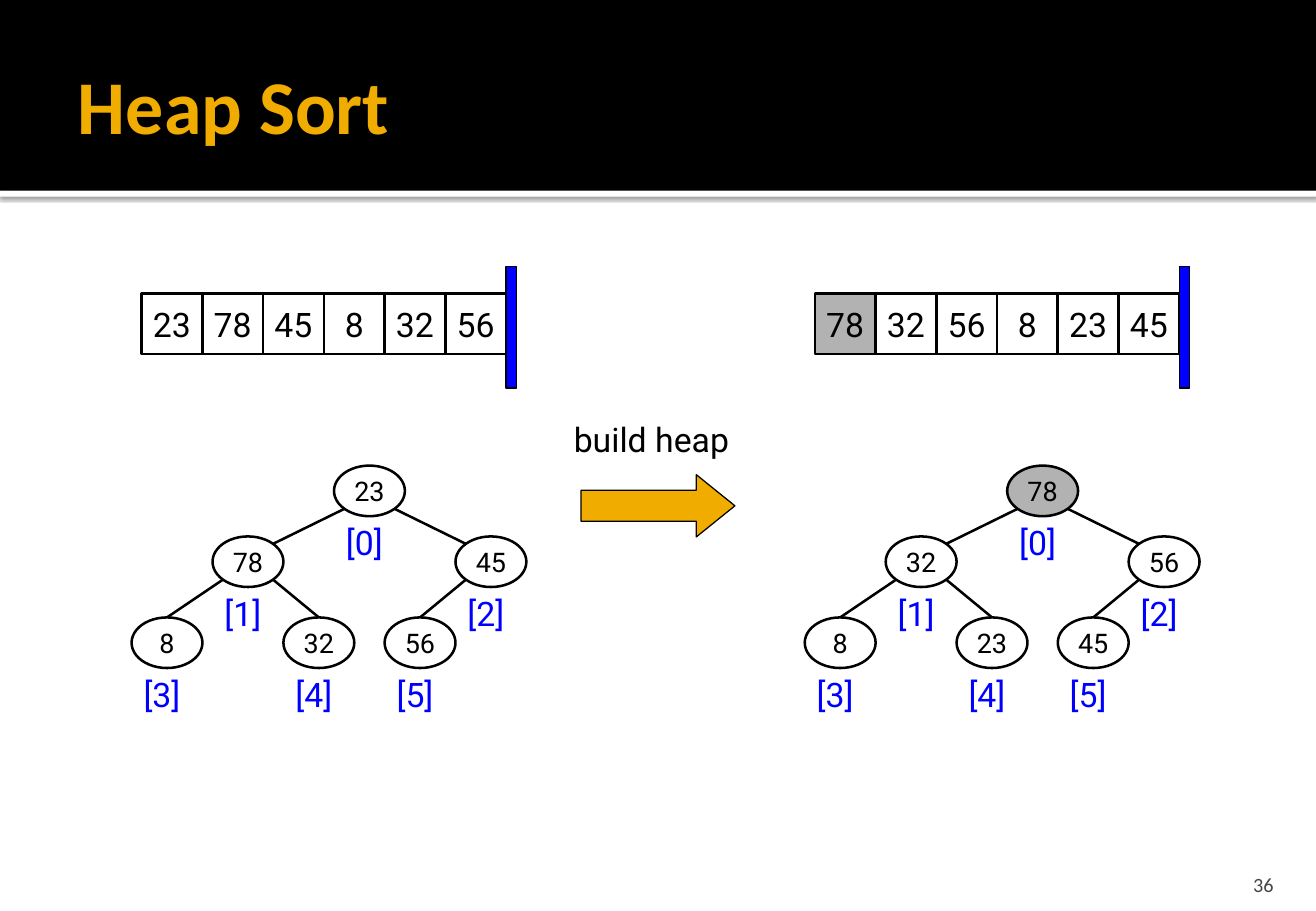
from math import sqrt

from lxml import etree
from pptx import Presentation
from pptx.dml.color import RGBColor
from pptx.enum.shapes import MSO_CONNECTOR, MSO_SHAPE as SHAPE
from pptx.enum.text import MSO_ANCHOR as ANCHOR, PP_ALIGN as ALIGN
from pptx.oxml import parse_xml
from pptx.oxml.ns import nsdecls, qn
from pptx.util import Inches, Pt

COLORS = {"black": "000000", "white": "FFFFFF", "gold": "F0AD00",
          "blue": "0000FF", "gray": "B2B2B2", "number": "454545"}

# The slide is a grid of 130 columns by 90 rows, twelve to the inch.
COLS, ROWS = 130, 90
CELL = 6
NODE_W, NODE_H = 7, 5
ARRAY_COL, ARRAY_ROW = 14, 29
NODE_SPOTS = [(33, 46), (21, 53), (45, 53), (13, 61), (28, 61), (38, 61)]
HEAP_SHIFT = 66.5
BEFORE = ["23", "78", "45", "8", "32", "56"]
AFTER = ["78", "32", "56", "8", "23", "45"]


def grid(*units):
    return [Inches(u / 12) for u in units]


def rgb(name):
    return RGBColor.from_string(COLORS[name])


def set_text(sp, text, size, color="black", font="Roboto", align=ALIGN.LEFT,
             anchor=ANCHOR.TOP, wrap=True, bold=False):
    tf = sp.text_frame
    tf.word_wrap = wrap
    tf.vertical_anchor = anchor
    tf.text = text
    p = tf.paragraphs[0]
    p.alignment = align
    p.font.size = Pt(size)
    p.font.name = font
    p.font.bold = bold
    p.font.color.rgb = rgb(color)
    return tf


def add_box(slide, kind, box, fill=None, line=None):
    """Add a preset shape; fill is a colour name, line a black width in points."""
    sp = slide.shapes.add_shape(kind, *grid(*box))
    sp.shadow.inherit = False
    if fill:
        sp.fill.solid()
        sp.fill.fore_color.rgb = rgb(fill)
    else:
        sp.fill.background()
    if line:
        sp.line.width = Pt(line)
        sp.line.color.rgb = rgb("black")
    else:
        sp.line.fill.background()
    return sp


def add_value(slide, kind, box, text, size, fill):
    sp = add_box(slide, kind, box, fill, 1.5)
    set_text(sp, text, size, align=ALIGN.CENTER, anchor=ANCHOR.MIDDLE, wrap=False)


def add_label(slide, box, text, color):
    set_text(slide.shapes.add_textbox(*grid(*box)), text, 20, color)


def add_edge(slide, start, end):
    line = slide.shapes.add_connector(MSO_CONNECTOR.STRAIGHT, *grid(*start, *end))
    line.line.width = Pt(1.5)
    line.line.color.rgb = rgb("black")
    etree.SubElement(line.element.spPr, qn("a:effectLst"))


def add_header(slide, text):
    strip = add_box(slide, SHAPE.RECTANGLE, (0, 18.84, COLS, 0.6), "white")
    strip.element.spPr.find(qn("a:effectLst")).append(parse_xml(
        f'<a:outerShdw {nsdecls("a")} blurRad="{Pt(2.5)}" dist="{Pt(0.8)}" '
        f'dir="5400000" algn="t" rotWithShape="0"><a:srgbClr val="{COLORS["black"]}">'
        '<a:alpha val="60000"/></a:srgbClr></a:outerShdw>'))
    add_box(slide, SHAPE.RECTANGLE, (0, 0, COLS, 18.84), "black")

    title = slide.shapes.title
    title.left, title.top, title.width, title.height = grid(6.5, 2, 117, 16.5)
    tf = set_text(title, text, 45, "gold", "Calibri", anchor=ANCHOR.MIDDLE, bold=True)
    tf.margin_right = Inches(0.05)
    slide.shapes.element.append(title.element)  # in front of the bars


def add_page_number(slide, text):
    sp = slide.shapes.add_textbox(*grid(116.6, 85, 10.4, 3.6))
    tf = set_text(sp, text, 12, "number", "Calibri", ALIGN.RIGHT, ANCHOR.BOTTOM)
    tf.margin_bottom = 0


def add_array(slide, values, shift, root_fill):
    left = ARRAY_COL + shift
    for i, value in enumerate(values):
        add_value(slide, SHAPE.RECTANGLE, (left + i * CELL, ARRAY_ROW, CELL, CELL),
                  value, 20, None if i else root_fill)
    add_box(slide, SHAPE.RECTANGLE,
            (left + len(values) * CELL, ARRAY_ROW - 2.65, 1, 2 * CELL), "blue", 0.75)


def rim(spot, side, end):
    """Point on a node's rim: diagonal for side -1 or 1, vertical for side 0."""
    diagonal = 1 / sqrt(2)
    x, y = (side * diagonal, end * diagonal) if side else (0, end)
    return (spot[0] + NODE_W / 2 * (1 + x), spot[1] + NODE_H / 2 * (1 + y))


def add_tree(slide, values, shift, root_fill):
    """Draw a binary tree in array order: node i hangs from node (i - 1) // 2."""
    spots = [(col + shift, row) for col, row in NODE_SPOTS]
    for i, ((col, row), value) in enumerate(zip(spots, values)):
        add_value(slide, SHAPE.OVAL, (col, row, NODE_W, NODE_H),
                  value, 16, None if i else root_fill)
        add_label(slide, (col, row + NODE_H, NODE_W, 5.2), f"[{i}]", "blue")
        if i:
            side = -1 if i % 2 else 1
            is_leaf = 2 * i + 1 >= len(values)
            add_edge(slide, rim(spots[(i - 1) // 2], side, 1),
                     rim((col, row), 0 if is_leaf else -side, -1))


def add_build_arrow(slide):
    arrow = add_box(slide, SHAPE.RIGHT_ARROW, (57.4, 46.9, 15.2, 6.15), "gold", 0.75)
    arrow.adjustments[0] = 0.5
    arrow.adjustments[1] = 0.62
    add_label(slide, (55.5, 40.8, 18.7, 5.2), "build heap", "black")


def main():
    prs = Presentation()
    prs.slide_width, prs.slide_height = grid(COLS, ROWS)
    slide = prs.slides.add_slide(prs.slide_layouts[5])
    add_header(slide, "Heap Sort")
    add_page_number(slide, "36")
    for values, shift, root_fill in ((BEFORE, 0, None), (AFTER, HEAP_SHIFT, "gray")):
        add_array(slide, values, shift, root_fill)
        add_tree(slide, values, shift, root_fill)
    add_build_arrow(slide)
    prs.save("out.pptx")


if __name__ == "__main__":
    main()
